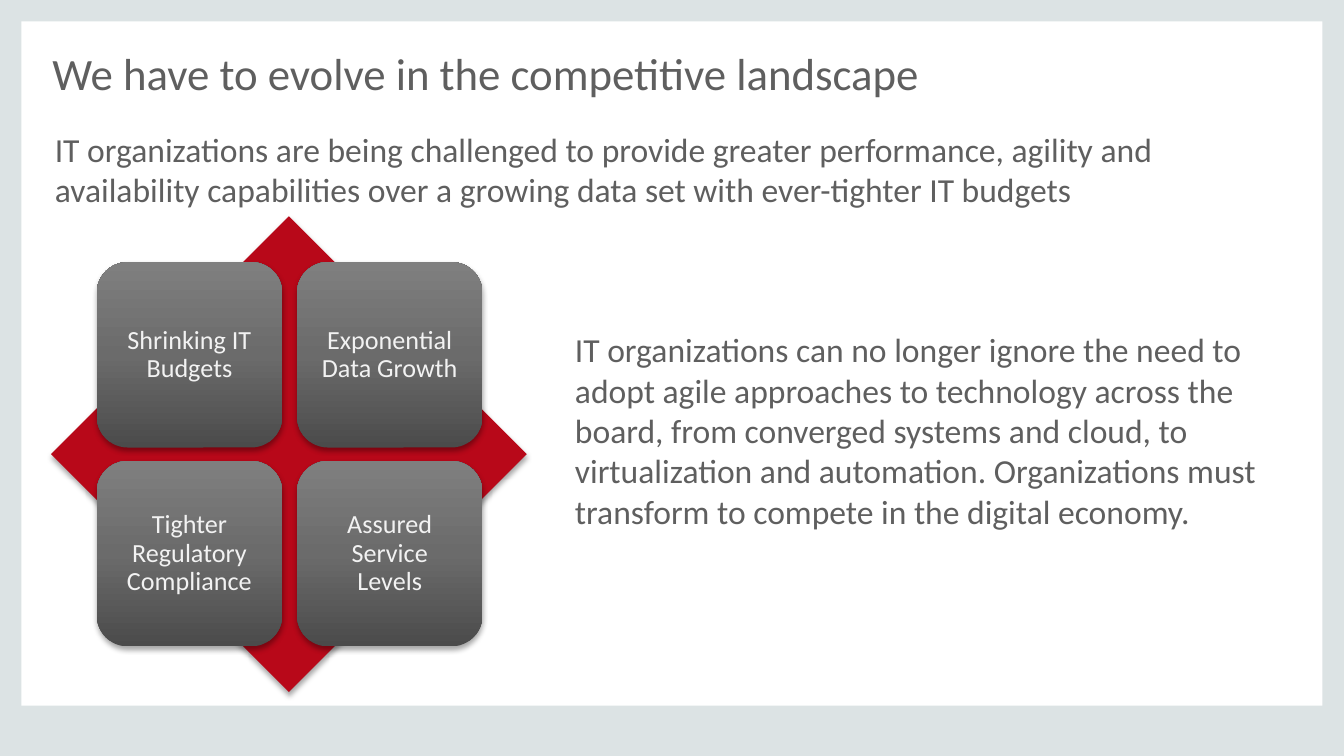
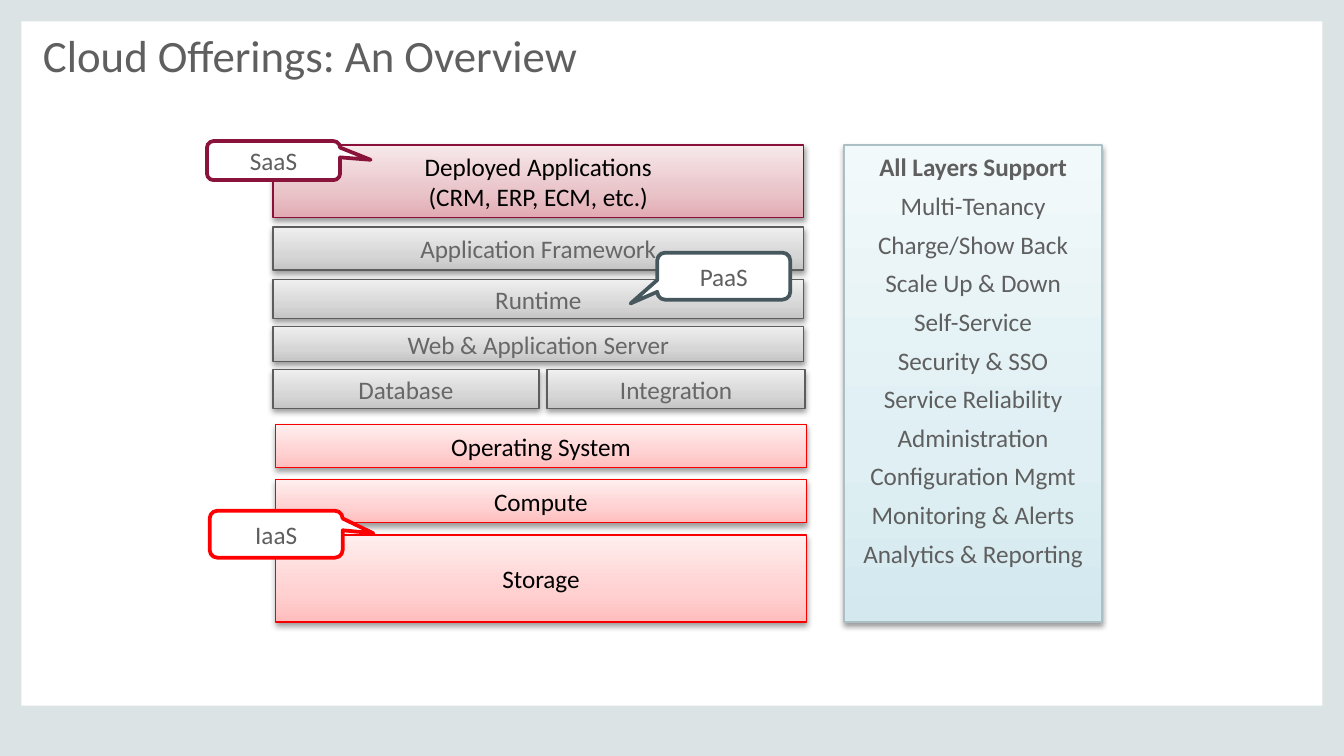
from lxml.etree import SubElement
from pptx import Presentation
from pptx.dml.color import RGBColor
from pptx.enum.shapes import MSO_SHAPE
from pptx.enum.text import MSO_ANCHOR, PP_ALIGN
from pptx.oxml.ns import qn
from pptx.util import Inches, Pt

WIDTH = 10
HEIGHT = WIDTH * 9 / 16
FONT = "Calibri"
TEXT = "5F5F5F"
BAND = "DCE3E4"
WHITE = "FFFFFF"
BLACK = "000000"
RED = "B80819"
TILE_STOPS = [(0, "4B4B4B"), (50, "6B6B6B"), (100, "7F7F7F")]

PLATFORM = dict(stops=[(0, "C5C5C5"), (35, "D6D6D6"), (100, "EFEFEF")], line="5D5D5D", color="676767")
INFRASTRUCTURE = dict(stops=[(0, "FFBDBD"), (35, "FFD1D1"), (100, "FFEEEE")], line="F90000", color=BLACK)
SOFTWARE = dict(stops=[(0, "E2AAB2"), (35, "E9C4C9"), (100, "F7E8EA")], line="8A1039", color=BLACK)
SUPPORT = dict(stops=[(0, "D3E9EF"), (35, "DFEFF3"), (100, "F2F9FB")], line="ACBFC4", color=TEXT)


def rgb(value):
    return RGBColor.from_string(value)


def write(shape, text, size=18, color=TEXT, align=PP_ALIGN.LEFT, anchor=MSO_ANCHOR.TOP,
          insets=(0.1, 0.05, 0.1, 0.05), spacing=None, before=0, bold_first=False):
    frame = shape.text_frame
    frame.word_wrap = True
    frame.vertical_anchor = anchor
    frame.margin_left, frame.margin_top, frame.margin_right, frame.margin_bottom = map(Inches, insets)
    for index, content in enumerate(text.split("\n")):
        para = frame.add_paragraph() if index else frame.paragraphs[0]
        para.alignment = align
        if spacing:
            para.line_spacing = spacing
        if index and before:
            para.space_before = Pt(before)
        span = para.add_run()
        span.text = content
        span.font.name = FONT
        span.font.size = Pt(size)
        span.font.bold = bold_first and index == 0
        span.font.color.rgb = rgb(color)


def add_text(page, at, text, **formats):
    box = page.shapes.add_textbox(*map(Inches, at))
    write(box, text, **formats)


def add_title(page, left, top, text):
    add_text(page, (left, top, 9.13, 0.42), text, size=24, anchor=MSO_ANCHOR.BOTTOM,
             insets=(0, 0, 0, 0), spacing=0.8)


def add_figure(page, kind, at, fill=None, stops=None, line=None, width=0.75):
    shape = page.shapes.add_shape(kind, *map(Inches, at))
    shape.shadow.inherit = False
    if stops:
        fill_gradient(shape, stops)
    else:
        shape.fill.solid()
        shape.fill.fore_color.rgb = rgb(fill)
    if line:
        shape.line.color.rgb = rgb(line)
        shape.line.width = Pt(width)
    else:
        shape.line.fill.background()
    return shape


def fill_gradient(shape, stops):
    shape.fill.gradient()
    shape.fill.gradient_angle = 90
    stop_list = shape.element.spPr.find(".//" + qn("a:gsLst"))
    for child in list(stop_list):
        stop_list.remove(child)
    for position, color in stops:
        stop = SubElement(stop_list, qn("a:gs"), pos=str(position * 1000))
        SubElement(stop, qn("a:srgbClr"), val=color)


def cast_shadow(shape, opacity, distance):
    effects = shape.element.spPr.find(qn("a:effectLst"))
    shadow = SubElement(effects, qn("a:outerShdw"), blurRad=str(Pt(3.1)), dist=str(Pt(distance)),
                        dir="5400000", rotWithShape="0")
    color = SubElement(shadow, qn("a:srgbClr"), val=BLACK)
    SubElement(color, qn("a:alpha"), val=str(opacity * 1000))


def add_tile(page, left, top, text):
    tile = add_figure(page, MSO_SHAPE.ROUNDED_RECTANGLE, (left, top, 1.38, 1.38), stops=TILE_STOPS)
    cast_shadow(tile, 35, 1.8)
    write(tile, text, size=14, color="F2F2F2", align=PP_ALIGN.CENTER, anchor=MSO_ANCHOR.MIDDLE,
          insets=(0.1, 0.06, 0.1, 0.06), spacing=0.9)


def add_layer(page, at, text, style, anchor=MSO_ANCHOR.MIDDLE, **formats):
    layer = add_figure(page, MSO_SHAPE.RECTANGLE, at, stops=style["stops"], line=style["line"])
    cast_shadow(layer, 38, 1.6)
    write(layer, text, size=13.5, color=style["color"], align=PP_ALIGN.CENTER, anchor=anchor, **formats)


def add_callout(page, left, top, height, text, line, tip=(0.73, -0.02)):
    callout = add_figure(page, MSO_SHAPE.ROUNDED_RECTANGULAR_CALLOUT, (left, top, 0.99, height),
                         fill=WHITE, line=line, width=2)
    callout.adjustments[0], callout.adjustments[1] = tip
    write(callout, text, size=13.5, align=PP_ALIGN.CENTER, anchor=MSO_ANCHOR.MIDDLE)


def add_page(deck):
    page = deck.slides.add_slide(deck.slide_layouts[6])
    page.background.fill.solid()
    page.background.fill.fore_color.rgb = rgb(WHITE)
    side = 0.16
    bands = [(0, 0, side, HEIGHT), (WIDTH - side, 0, side, HEIGHT),
             (0, 5.25, WIDTH, HEIGHT - 5.25), (0, 0, WIDTH, side)]
    for at in bands:
        add_figure(page, MSO_SHAPE.RECTANGLE, at, fill=BAND)
    return page


def build_landscape(deck):
    page = add_page(deck)
    add_text(page, (0.31, 0.91, 9.34, 0.71),
             "IT organizations are being challenged to provide greater performance, agility and "
             "availability capabilities over a growing data set with ever-tighter IT budgets")
    diamond = add_figure(page, MSO_SHAPE.DIAMOND, (0.38, 1.61, 3.54, 3.54), fill=RED)
    cast_shadow(diamond, 35, 1.8)
    pressures = ["Shrinking IT Budgets", "Exponential Data Growth",
                 "Tighter Regulatory Compliance", "Assured Service Levels"]
    for index, pressure in enumerate(pressures):
        row, column = divmod(index, 2)
        add_tile(page, 0.72 + column * 1.49, 1.95 + row * 1.48, pressure)
    add_text(page, (4.18, 1.8, 5.47, 3.13),
             "IT organizations can no longer ignore the need to adopt agile approaches to technology "
             "across the board, from converged systems and cloud, to virtualization and automation. "
             "Organizations must transform to compete in the digital economy.",
             insets=(0.1, 0.65, 0.1, 0.05))
    add_title(page, 0.39, 0.32, "We have to evolve in the competitive landscape")


def build_offerings(deck):
    page = add_page(deck)
    for index, (name, height) in enumerate([("Operating System", 0.32), ("Compute", 0.32), ("Storage", 0.65)]):
        add_layer(page, (2.05, 3.16 + index * 0.41, 3.95, height), name, INFRASTRUCTURE)
    add_callout(page, 1.56, 3.8, 0.35, "IaaS", "FF0000")
    platform_layers = [
        (2.03, 1.69, 3.95, 0.32, "Application Framework"),
        (2.03, 2.08, 3.95, 0.29, "Runtime"),
        (2.03, 2.43, 3.95, 0.26, "Web & Application Server"),
        (2.03, 2.75, 1.98, 0.29, "Database"),
        (4.07, 2.75, 1.92, 0.29, "Integration"),
    ]
    for *at, name in platform_layers:
        add_layer(page, at, name, PLATFORM)
    add_callout(page, 4.89, 1.88, 0.35, "PaaS", "46575E", tip=(-0.7, 0.58))
    services = ["All Layers Support", "Multi-Tenancy", "Charge/Show Back", "Scale Up & Down",
                "Self-Service", "Security & SSO", "Service Reliability", "Administration",
                "Configuration Mgmt", "Monitoring & Alerts", "Analytics & Reporting"]
    add_layer(page, (6.28, 1.08, 1.92, 3.55), "\n".join(services), SUPPORT,
              anchor=MSO_ANCHOR.TOP, before=4.5, bold_first=True)
    add_layer(page, (2.03, 1.08, 3.95, 0.54), "Deployed Applications\n(CRM, ERP, ECM, etc.)", SOFTWARE)
    add_callout(page, 1.54, 1.05, 0.29, "SaaS", "8A133B")
    add_title(page, 0.32, 0.18, "Cloud Offerings: An Overview")


def main():
    deck = Presentation()
    deck.slide_width = Inches(WIDTH)
    deck.slide_height = Inches(HEIGHT)
    build_landscape(deck)
    build_offerings(deck)
    deck.save("out.pptx")


if __name__ == "__main__":
    main()
